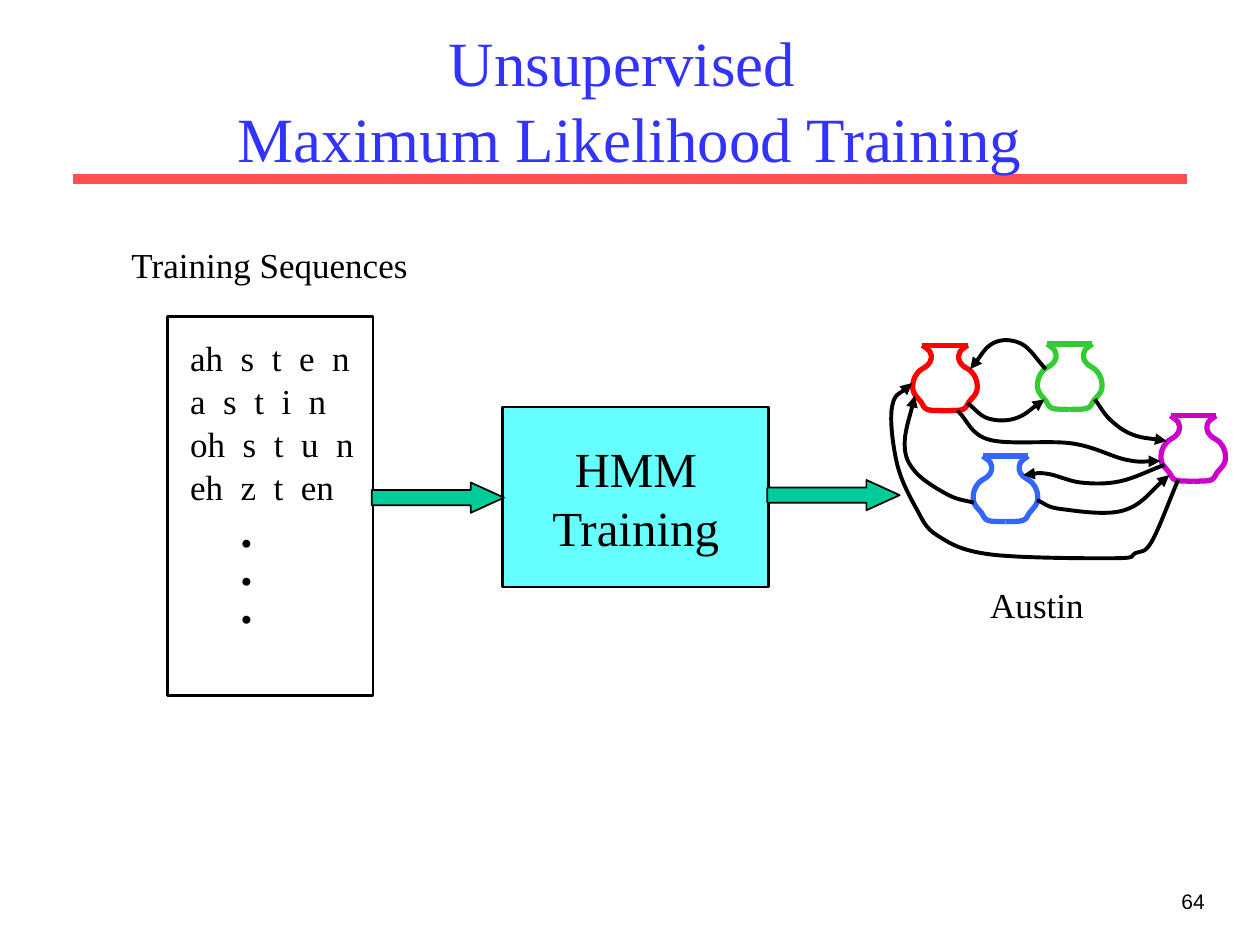
from pptx import Presentation
from pptx.dml.color import RGBColor
from pptx.enum.shapes import MSO_CONNECTOR as CONN, MSO_SHAPE as SHAPE
from pptx.enum.text import MSO_ANCHOR as ANCHOR, MSO_AUTO_SIZE as AUTO, PP_ALIGN as ALIGN
from pptx.oxml.ns import qn
from pptx.util import Pt
from lxml.etree import Element, SubElement

PX = 9144
SERIF = "Times New Roman"
COLORS = {
    "title": "3333FF", "rule": "FF5050", "ink": "000000", "box": "66FFFF", "arrow": "00CC99",
    "red": "FF0000", "green": "33CC33", "blue": "3366FF", "purple": "CC00CC",
}
SEQUENCES = ["ah s t e n", "a s t i n", "oh s t u n", "eh z t en"]
VASE_W = 52
VASE_SIDE = [(8, 0), (14, 5), (15, 11), (12, 16), (5, 21),
             (1, 28), (1, 37), (7, 45), (12, 51), (26, 52)]
VASES = [("blue", 50, 93), ("green", 101, 4), ("red", 2, 5), ("purple", 199, 61)]
TRANSITIONS = [
    [(46, 51), (62, 63), (84, 63), (107, 48)],
    [(147, 48), (159, 64), (177, 76), (204, 81)],
    [(108, 24), (89, 4), (67, 3), (48, 24)],
    [(38, 57), (63, 80), (129, 83), (172, 96), (199, 97)],
    [(101, 128), (120, 135), (170, 136), (206, 108)],
    [(51, 130), (31, 124), (5, 106), (-4, 84), (4, 45)],
    [(213, 112), (192, 161), (179, 170), (163, 174), (64, 171),
     (22, 156), (5, 134), (-10, 99), (-14, 54), (2, 35)],
    [(202, 100), (167, 113), (136, 114), (109, 107), (90, 108)],
]


def rgb(name):
    return RGBColor.from_string(COLORS[name])


def emu(*lengths):
    return [v * PX for v in lengths]


def set_line(sp, color, width):
    sp.line.color.rgb = rgb(color)
    sp.line.width = Pt(width)


def format_text(tf, size, color="ink", font=SERIF, align=ALIGN.CENTER, bold=False):
    for p in tf.paragraphs:
        p.alignment = align
        for r in p.runs:
            r.font.size, r.font.name, r.font.bold = Pt(size), font, bold
            r.font.color.rgb = rgb(color)


def add_text(s, box, text, size, wrap=False, **style):
    tf = s.shapes.add_textbox(*emu(*box)).text_frame
    tf.word_wrap = wrap
    tf.text = text
    format_text(tf, size, **style)
    return tf


def add_block(s, kind, box, fill, width):
    sp = s.shapes.add_shape(kind, *emu(*box))
    sp.shadow.inherit = False
    if fill:
        sp.fill.solid()
        sp.fill.fore_color.rgb = rgb(fill)
    else:
        sp.fill.background()
    set_line(sp, "ink", width)
    return sp


def add_line(s, x1, y1, x2, y2, color, width):
    c = s.shapes.add_connector(CONN.STRAIGHT, *emu(x1, y1, x2, y2))
    set_line(c, color, width)
    SubElement(c._element.spPr, qn("a:effectLst"))
    return c


def add_curve(s, knots, color, width, arrow=False):
    start, *rest = [tuple(emu(*k)) for k in knots]
    fb = s.shapes.build_freeform(*start)
    fb.add_line_segments(rest, close=False)
    sp = fb.convert_to_shape()
    sp.shadow.inherit = False
    sp.fill.background()
    set_line(sp, color, width)
    pts = [(int(pt.get("x")), int(pt.get("y"))) for pt in sp._element.xpath(".//a:pt")]
    ext = [pts[0]] + pts + [pts[-1]]
    last = len(pts) - 1

    def handle(i, sign):
        share = 3 if i in (0, last) else 6
        return [round(v + sign * (b - a) / share)
                for v, a, b in zip(pts[i], ext[i], ext[i + 2])]

    for i, seg in enumerate(sp._element.xpath(".//a:lnTo")):
        seg.tag = qn("a:cubicBezTo")
        for n, (x, y) in enumerate([handle(i, 1), handle(i + 1, -1)]):
            seg.insert(n, Element(qn("a:pt"), x=str(x), y=str(y)))
    if arrow:
        SubElement(sp.line._get_or_add_ln(), qn("a:tailEnd"), type="triangle")


def add_title(s, box):
    title = s.shapes.title
    title.left, title.top, title.width, title.height = emu(*box)
    tf = title.text_frame
    tf.text = "Unsupervised \vMaximum Likelihood Training"
    tf.word_wrap, tf.auto_size, tf.vertical_anchor = True, AUTO.NONE, ANCHOR.MIDDLE
    format_text(tf, 36, color="title")
    rule = add_line(s, 58, 142, 942, 142, "rule", 6)
    s.shapes._spTree.insert(2, rule._element)


def add_sequences(s, left, top, width, height):
    tf = add_text(s, (left + 8, top + 26, 211, 197), "", 20, wrap=True)
    for i, line in enumerate(SEQUENCES):
        p = tf.add_paragraph() if i else tf.paragraphs[0]
        p.line_spacing = 0.5
        p.space_before = Pt(12.5 if i else 0)
        for n, phone in enumerate(line.split()):
            if n:
                gap = p.add_run()
                gap.text = " "
                gap.font._element.set("spc", "500")
            p.add_run().text = phone
    format_text(tf, 20, align=ALIGN.LEFT)
    dots = add_text(s, (left + 48, top + 154, 29, 101), ".\n.\n.", 28, bold=True)
    for p in dots.paragraphs:
        p.line_spacing = 0.65
    add_block(s, SHAPE.RECTANGLE, (left, top, width, height), None, 1.5)
    add_text(s, (left - 39, top - 63, 240, 44), "Training Sequences", 20)


def add_training(s, left, top, width, height):
    sp = add_block(s, SHAPE.RECTANGLE, (left, top, width, height), "box", 1.5)
    tf = sp.text_frame
    tf.text = "HMM\nTraining"
    tf.vertical_anchor = ANCHOR.MIDDLE
    format_text(tf, 28)
    for x, y in [(left - 104, top + 60), (left + width - 1, top + 58)]:
        arrow = add_block(s, SHAPE.RIGHT_ARROW, (x, y, 105, 24), "arrow", 1)
        arrow.adjustments[1] = 1.1


def add_vase(s, left, top, color):
    side = [(left + x, top + y) for x, y in VASE_SIDE]
    mirrored = [(left + VASE_W - x, top + y) for x, y in VASE_SIDE]
    for knots in (side, mirrored):
        add_curve(s, knots, color, 3)
    add_line(s, *side[0], *mirrored[0], color, 3)


def add_model(s, left, top):
    for color, x, y in VASES:
        add_vase(s, left + x, top + y, color)
    for knots in TRANSITIONS:
        add_curve(s, [(left + x, top + y) for x, y in knots], "ink", 2.25, arrow=True)
    add_text(s, (left + 54, top + 189, 94, 44), "Austin", 20)


def main():
    prs = Presentation()
    prs.slide_width, prs.slide_height = emu(1000, 750)
    s = prs.slides.add_slide(prs.slide_layouts[5])
    add_title(s, (75, 25, 850, 108))
    add_sequences(s, 133, 251, 163, 301)
    add_training(s, 399, 323, 211, 143)
    add_model(s, 722, 269)
    add_text(s, (758, 700, 208, 50), "64", 12, wrap=True, font="Arial", align=ALIGN.RIGHT)
    prs.save("out.pptx")


if __name__ == "__main__":
    main()
